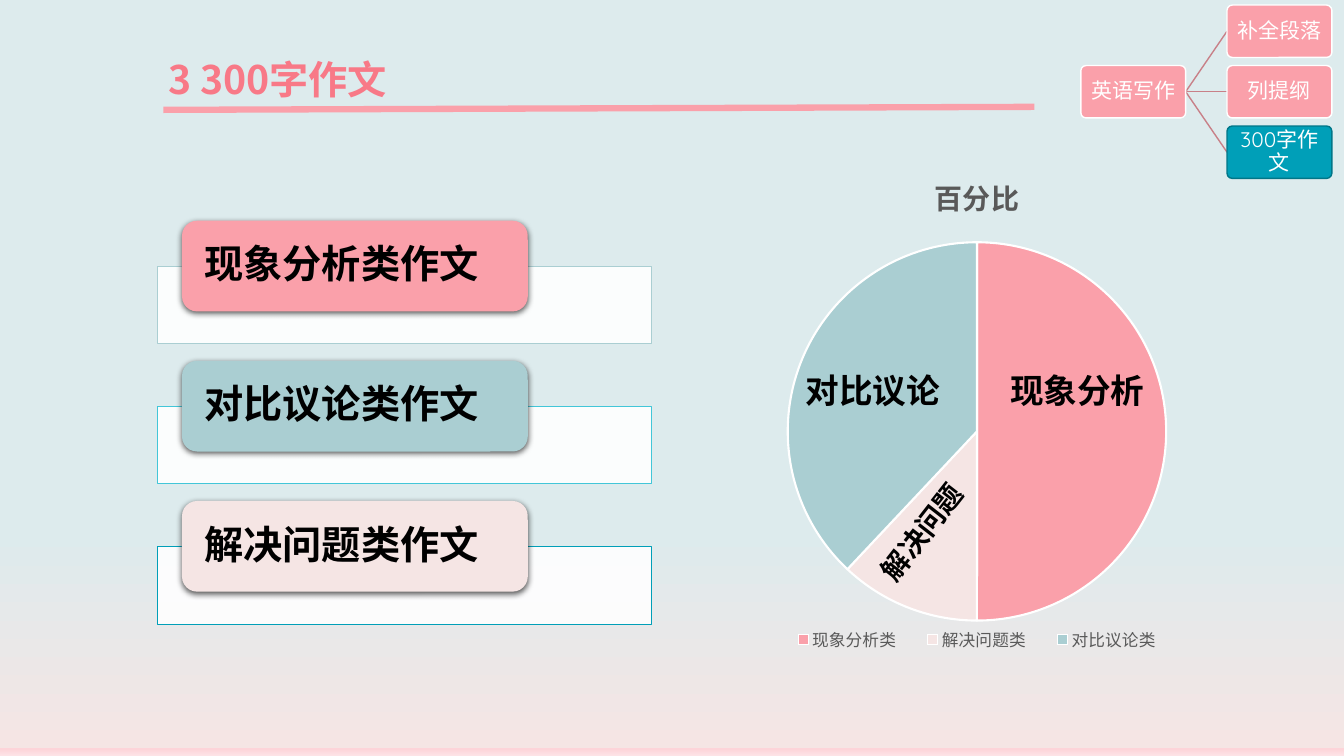
from copy import deepcopy

from lxml import etree
from pptx import Presentation
from pptx import util as u
from pptx.chart.data import CategoryChartData
from pptx.dml.color import RGBColor
from pptx.enum import chart as ch, shapes, text
from pptx.oxml import parse_xml
from pptx.oxml.ns import nsdecls, qn

COLORS = {
    "pink": "FAA0AA", "title": "F87987", "mist": "AACED2", "blush": "F5E5E4",
    "teal": "009FB8", "deep": "007688", "aqua": "42C6D8", "branch": "C88088",
    "grey": "595959", "black": "000000", "white": "FFFFFF",
}
BACKDROP = [(0.7, "DDEBED"), (0.99, "F5E5E4"), (0.99, "FDD4D9"), (1, "FDE3E6")]
CJK, LATIN = "Noto Sans CJK SC", "Quicksand"


def rgb(name):
    return RGBColor.from_string(COLORS[name])


def inches(*values):
    return [u.Inches(v) for v in values]


def style_font(font, name, size, color, bold=False):
    for key, value in {"name": name, "size": u.Pt(size), "bold": bold}.items():
        setattr(font, key, value)
    font.color.rgb = rgb(color)


def write(sp, words, font, size, color, bold=False, align=text.PP_ALIGN.LEFT,
          anchor=text.MSO_ANCHOR.TOP, insets=(0.1, 0.05), spacing=1.0):
    tf = sp.text_frame
    dx, dy = inches(*insets)
    frame = {"word_wrap": True, "vertical_anchor": anchor, "margin_left": dx,
             "margin_right": dx, "margin_top": dy, "margin_bottom": dy}
    for key, value in frame.items():
        setattr(tf, key, value)
    p = tf.paragraphs[0]
    p.alignment, p.line_spacing = align, spacing
    r = p.add_run()
    r.text = words
    style_font(r.font, font, size, color, bold)
    etree.SubElement(r.font._element, qn("a:ea")).set("typeface", CJK)


def add_box(s, kind, box, fill, line=None, width=1, radius=None):
    sp = s.shapes.add_shape(kind, *inches(*box))
    sp.shadow.inherit = False
    sp.fill.solid()
    sp.fill.fore_color.rgb = rgb(fill)
    if line:
        sp.line.color.rgb = rgb(line)
        sp.line.width = u.Pt(width)
    else:
        sp.line.fill.background()
    if radius:
        sp.adjustments[0] = radius
    return sp


def add_line(s, start, end, color, width):
    c = s.shapes.add_connector(shapes.MSO_CONNECTOR.STRAIGHT, *inches(*start, *end))
    c.line.color.rgb = rgb(color)
    c.line.width = u.Pt(width)
    etree.SubElement(c._element.spPr, qn("a:effectLst"))


def paint_background(s):
    fill = s.background.fill
    fill.gradient()
    fill.gradient_angle = 270
    stops = s.element.find(".//" + qn("a:gsLst"))
    for stop in list(stops)[1:]:
        stops.remove(stop)
    stops.extend([deepcopy(stops[0]) for _ in BACKDROP[1:]])
    for stop, (position, color) in zip(fill.gradient_stops, BACKDROP):
        stop.position = position
        stop.color.rgb = RGBColor.from_string(color)


def add_heading(s, box):
    x, y, w, h = box
    add_line(s, (x + 0.05, y + 0.59), (x + 8.69, y + 0.56), "pink", 4.5)
    title = s.shapes.title
    title.left, title.top, title.width, title.height = inches(*box)
    write(title, "3 300字作文", CJK, 28, "title", bold=True)


def add_essay_types(s, box):
    """Three rows, each a bold tab overlapping a pale panel."""
    x, y, w, h = box
    pitch = h / 3
    rows = [("现象分析类作文", "pink", "mist"), ("对比议论类作文", "mist", "aqua"),
            ("解决问题类作文", "blush", "teal")]
    for i, (words, fill, line) in enumerate(rows):
        top = y + i * pitch
        panel = add_box(s, shapes.MSO_SHAPE.RECTANGLE, (x, top + 0.45, w, 0.77),
                        "white", line, 0.5)
        tint = panel._element.spPr.find(".//" + qn("a:srgbClr"))
        etree.SubElement(tint, qn("a:alpha")).set("val", "90000")
        tab = add_box(s, shapes.MSO_SHAPE.ROUNDED_RECTANGLE,
                      (x + 0.05 * w, top, 0.7 * w, 0.9), fill)
        tab._element.spPr.find(qn("a:effectLst")).append(parse_xml(
            f'<a:outerShdw {nsdecls("a")} blurRad="57150" dist="19050" dir="5400000" '
            'algn="ctr" rotWithShape="0"><a:srgbClr val="000000">'
            '<a:alpha val="63000"/></a:srgbClr></a:outerShdw>'))
        write(tab, words, CJK, 28, "black", bold=True, spacing=0.9,
              anchor=text.MSO_ANCHOR.MIDDLE, insets=(0.18, 0))


def manual_layout(inner, x, y, w, h):
    target = '<c:layoutTarget val="inner"/>' if inner else ""
    sizes = "".join(f'<c:{k} val="{v}"/>' for k, v in zip("xywh", (x, y, w, h)))
    return parse_xml(f'<c:layout {nsdecls("c")}><c:manualLayout>{target}'
                     '<c:xMode val="edge"/><c:yMode val="edge"/>'
                     f'{sizes}</c:manualLayout></c:layout>')


def add_share_pie(s, box):
    data = CategoryChartData()
    data.categories = ["现象分析类", "解决问题类", "对比议论类"]
    data.add_series("百分比", (50, 12, 38))
    chart = s.shapes.add_chart(ch.XL_CHART_TYPE.PIE, *inches(*box), data).chart
    style_font(chart.font, LATIN, 10, "black")
    chart.has_title = True
    p = chart.chart_title.text_frame.paragraphs[0]
    r = p.add_run()
    r.text = "百分比"
    style_font(r.font, CJK, 20, "grey", bold=True)
    chart.has_legend = True
    legend = chart.legend
    legend.position = ch.XL_LEGEND_POSITION.BOTTOM
    legend.include_in_layout = False
    style_font(legend.font, LATIN, 11.9, "grey")
    plot = chart.plots[0]
    plot.vary_by_categories = True
    for i, color in enumerate(("pink", "blush", "mist")):
        fmt = plot.series[0].points[i].format
        fmt.fill.solid()
        fmt.fill.fore_color.rgb = rgb(color)
        fmt.line.color.rgb = rgb("white")
        fmt.line.width = u.Pt(1.5)
    area = chart.element.find(".//" + qn("c:plotArea"))
    for old in area.findall(qn("c:layout")):
        area.remove(old)
    area.insert(0, manual_layout(True, 0.26, 0.17, 0.48, 0.73))
    key = legend._element
    for old in key.findall(qn("c:layout")):
        key.remove(old)
    key.find(qn("c:legendPos")).addnext(manual_layout(False, 0.24, 0.9, 0.52, 0.07))

    x, y, w, h = box
    labels = [("现象分析", 4.14, 2.1, 24, 0), ("解决问题", 2.69, 3.27, 20, 307.9),
              ("对比议论", 2.11, 2.1, 24, 0)]
    for words, dx, dy, size, turn in labels:
        label = s.shapes.add_textbox(*inches(x + dx, y + dy, 1.88, 0.67))
        label.rotation = turn
        write(label, words, CJK, size, "black", bold=True)


def add_topic_tree(s, box):
    x, y, w, h = box
    node_w, node_h, pitch = 1.04, 0.52, 0.6
    leaf_x = x + w - node_w
    root_y = y + pitch
    nodes = [("英语写作", x, root_y, "pink", "white")]
    for i, words in enumerate(("补全段落", "列提纲", "300字作文")):
        top = y + i * pitch
        current = i == 2
        nodes.append((words, leaf_x, top, "teal" if current else "pink",
                      "deep" if current else "white"))
        add_line(s, (x + node_w, root_y + node_h / 2), (leaf_x, top + node_h / 2),
                 "branch", 1)
    for words, left, top, fill, line in nodes:
        node = add_box(s, shapes.MSO_SHAPE.ROUNDED_RECTANGLE,
                       (left, top, node_w, node_h), fill, line, radius=0.1)
        write(node, words, LATIN, 15, "white", align=text.PP_ALIGN.CENTER,
              anchor=text.MSO_ANCHOR.MIDDLE, insets=(0.02, 0.02), spacing=0.9)


def main():
    prs = Presentation()
    prs.slide_width, prs.slide_height = inches(13.33, 7.5)
    s = prs.slides.add_slide(prs.slide_layouts[5])
    paint_background(s)
    add_heading(s, (1.57, 0.5, 8.36, 0.57))
    add_essay_types(s, (1.56, 2.19, 4.9, 4.17))
    add_share_pie(s, (5.78, 1.52, 7.82, 5.16))
    add_topic_tree(s, (10.72, 0.05, 2.49, 1.72))
    prs.save("out.pptx")


if __name__ == "__main__":
    main()
